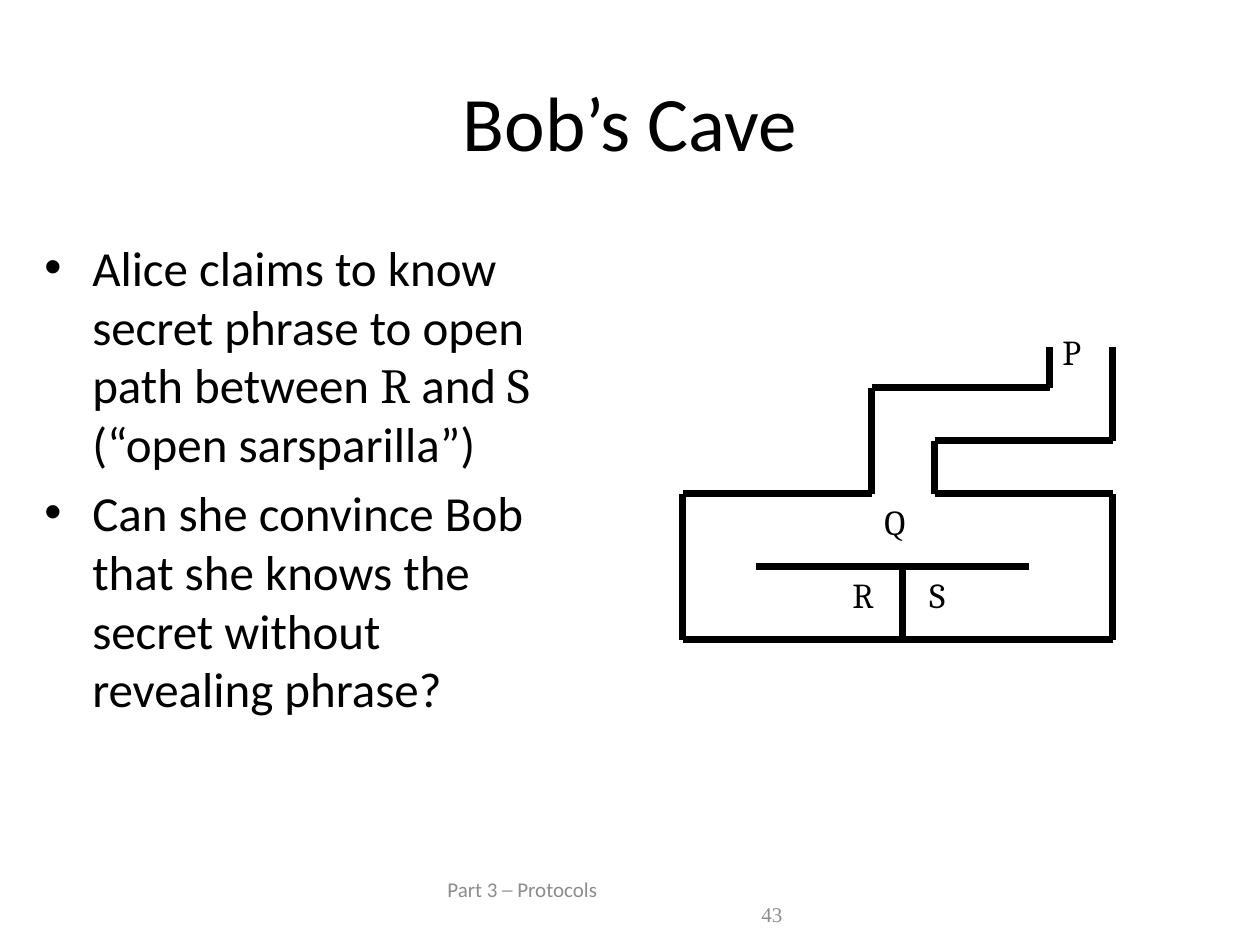
from itertools import pairwise
from lxml import etree
from pptx import Presentation
from pptx import util as u
from pptx.dml.color import RGBColor
from pptx.enum import shapes, text
from pptx.oxml.ns import qn

PX = 914400 // 126
COLORS = {"ink": "000000", "muted": "8C8C8C"}
SANS, SERIF, ROMAN = "Calibri", "Cambria", "Times New Roman"

TITLE = "Bob’s Cave"
BULLETS = [
    [("Alice claims to know secret phrase to open path between ", SANS), ("R", SERIF),
     (" and ", SANS), ("S", SERIF), (" (“open sarsparilla”)", SANS)],
    [("Can she convince Bob that she knows the secret without revealing phrase?", SANS)],
]
WALLS = [
    [(1050, 347), (1050, 388), (872, 388), (872, 494), (683, 494), (683, 640),
     (1113, 640), (1113, 494), (935, 494), (935, 441), (1113, 441), (1113, 347)],
    [(903, 640), (903, 567)],
    [(756, 567), (1029, 567)],
]
PLACES = [("P", 1050, 324, 49), ("Q", 872, 494, 53), ("R", 840, 567, 50), ("S", 917, 567, 49)]
FOOTER = [("Part 3 ─ Protocols", SANS, 435, 874, 180), ("43", ROMAN, 749, 899, 60)]


def px(*lengths):
    return [u.Emu(length * PX) for length in lengths]


def add_span(para, words, font, size, color="ink"):
    span = para.add_run()
    span.text = words
    span.font.name = font
    span.font.size = u.Pt(size)
    span.font.color.rgb = RGBColor.from_string(COLORS[color])


def add_box(page, *frame, wrap=False):
    frame_text = page.shapes.add_textbox(*px(*frame)).text_frame
    frame_text.word_wrap = wrap
    return frame_text


def add_wall(page, start, end):
    wall = page.shapes.add_connector(shapes.MSO_CONNECTOR.STRAIGHT, *px(*start, *end))
    wall.line.width = u.Pt(4)
    wall.line.color.rgb = RGBColor.from_string(COLORS["ink"])
    etree.SubElement(wall._element.spPr, qn("a:effectLst"))


def add_bullets(page):
    body = add_box(page, 32, 231, 525, 598, wrap=True)
    for index, spans in enumerate(BULLETS):
        para = body.add_paragraph() if index else body.paragraphs[0]
        para.space_before = u.Pt(5.6)
        props = para._p.get_or_add_pPr()
        indent = u.Inches(0.38)
        props.set("marL", str(indent))
        props.set("indent", str(-indent))
        etree.SubElement(props, qn("a:buFont"), typeface="Arial")
        etree.SubElement(props, qn("a:buChar"), char="•")
        for words, font in spans:
            add_span(para, words, font, 28)


def main():
    deck = Presentation()
    deck.slide_width, deck.slide_height = px(1260, 945)
    page = deck.slides.add_slide(deck.slide_layouts[5])

    title = page.shapes.title
    title.left, title.top, title.width, title.height = px(95, 63, 1070, 116)
    title.text_frame.vertical_anchor = text.MSO_ANCHOR.MIDDLE
    heading = title.text_frame.paragraphs[0]
    heading.alignment = text.PP_ALIGN.CENTER
    add_span(heading, TITLE, SANS, 44)

    add_bullets(page)

    for corners in WALLS:
        for start, end in pairwise(corners):
            add_wall(page, start, end)

    for name, left, top, width in PLACES:
        label = add_box(page, left, top, width, 54)
        label.auto_size = text.MSO_AUTO_SIZE.SHAPE_TO_FIT_TEXT
        add_span(label.paragraphs[0], name, SERIF, 20)

    for words, font, left, top, width in FOOTER:
        note = add_box(page, left, top, width, 30, wrap=True)
        note.margin_top = note.margin_bottom = 0
        note.vertical_anchor = text.MSO_ANCHOR.MIDDLE
        add_span(note.paragraphs[0], words, font, 12, "muted")

    deck.save("out.pptx")


if __name__ == "__main__":
    main()
